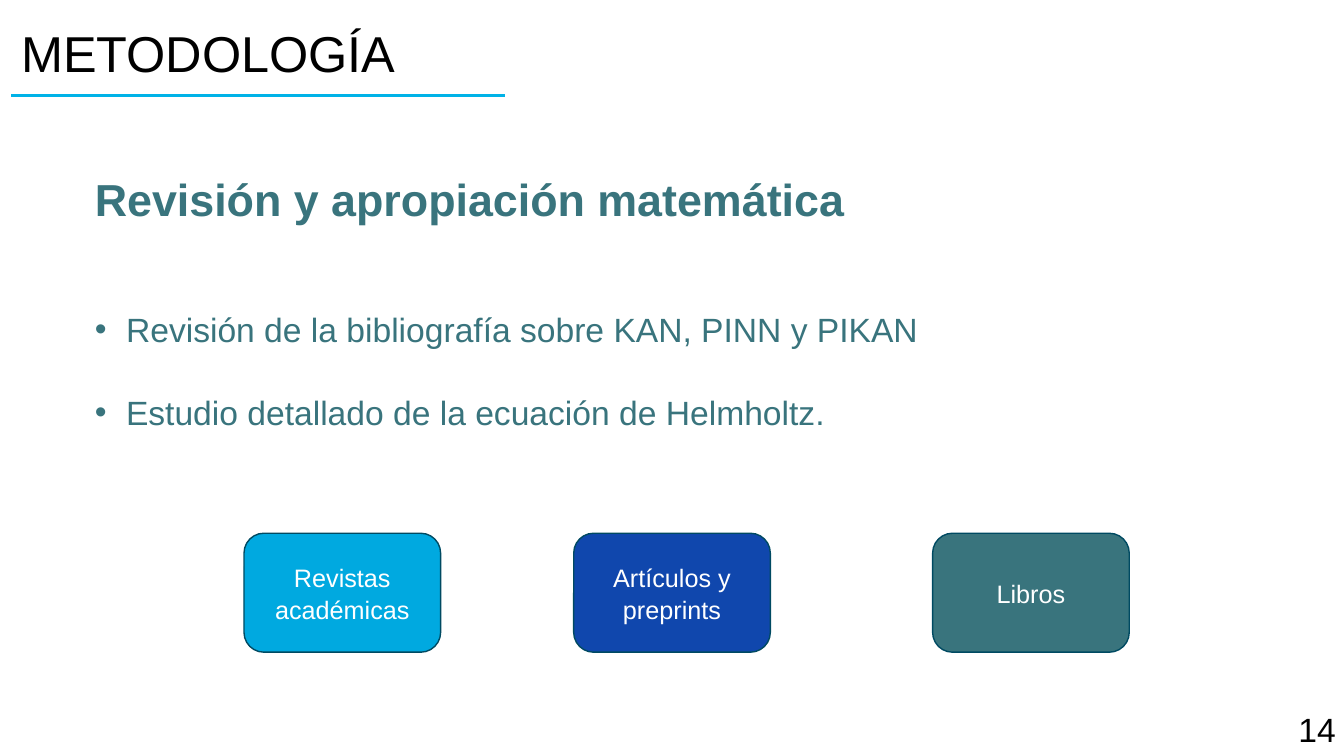
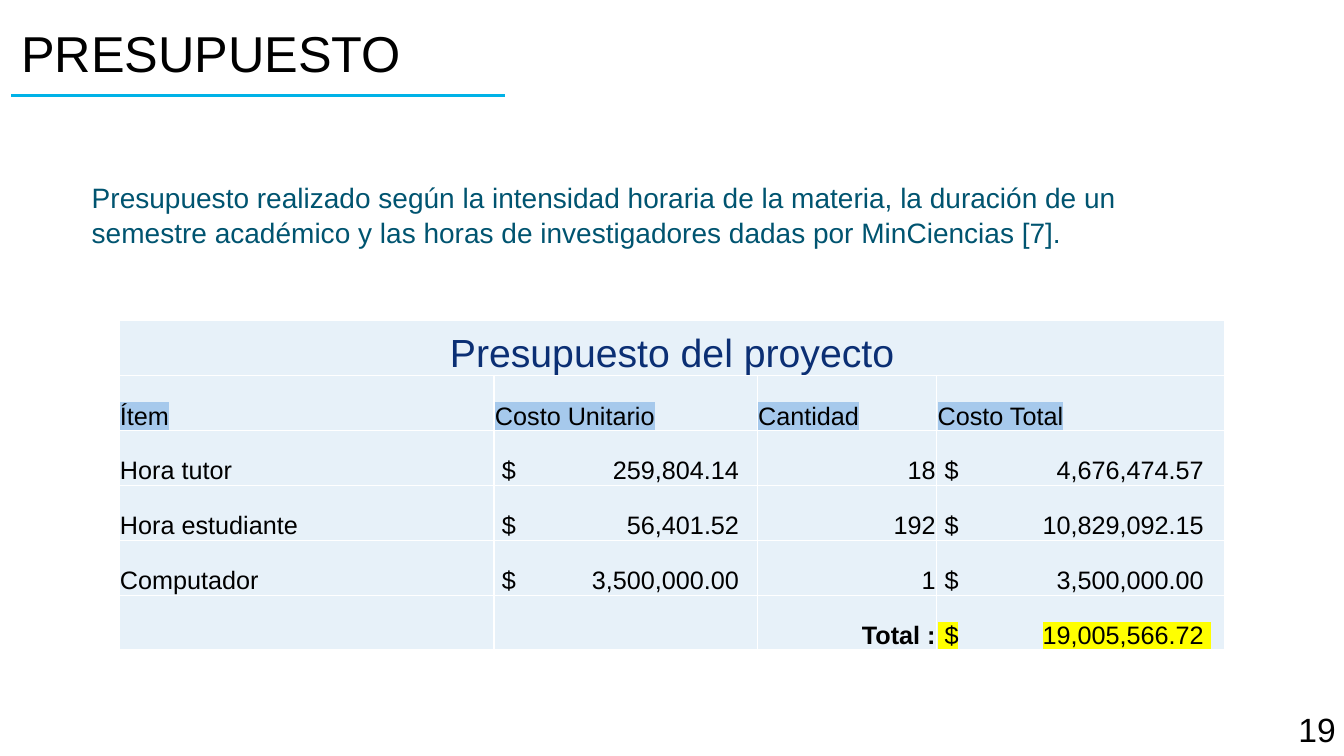
from lxml.etree import SubElement
from pptx import Presentation
from pptx.dml.color import RGBColor
from pptx.enum.shapes import MSO_CONNECTOR as Connector, MSO_SHAPE as Shape
from pptx.enum.text import MSO_ANCHOR as Anchor, MSO_AUTO_SIZE as AutoSize, PP_ALIGN as Align
from pptx.oxml import parse_xml
from pptx.oxml.ns import nsdecls, qn
from pptx.util import Emu, Pt

PX = 9144  # 100 px to the inch
FONT = "Arial"
BLACK, WHITE = "000000", "FFFFFF"
RULE, TEAL, PETROL, NAVY = "00B2E7", "39747D", "005470", "0B2F74"
OUTLINE, CELL, HEADER_MARK, TOTAL_MARK = "004A62", "E7F1F9", "A6C9EC", "FFFF00"
LINE_SPACING = 1.05


def px(length):
    return Emu(length * PX)


def color(hex_value):
    return RGBColor.from_string(hex_value)


def format_text(paragraph, size, hex_value, bold=False, align=Align.LEFT, spacing=None):
    paragraph.alignment = align
    paragraph.line_spacing = spacing
    paragraph.space_before = Pt(0)
    for run in paragraph.runs:
        run.font.name = FONT
        run.font.size = Pt(size)
        run.font.bold = bold
        run.font.color.rgb = color(hex_value)


def highlight(paragraph, hex_value):
    for run in paragraph.runs:
        mark = parse_xml(f'<a:highlight {nsdecls("a")}><a:srgbClr val="{hex_value}"/></a:highlight>')
        run.font.fill  # the mark follows the text fill in the schema
        run._r.rPr.find(qn("a:solidFill")).addnext(mark)


def set_bullet(paragraph, char=None, indent=0):
    properties = paragraph._p.get_or_add_pPr()
    properties.set("marL", str(px(indent)))
    properties.set("indent", str(px(-indent)))
    if char:
        SubElement(properties, qn("a:buChar")).set("char", char)
    else:
        SubElement(properties, qn("a:buNone"))


def place(shape, left, top, width, height):
    shape.left, shape.top = px(left), px(top)
    shape.width, shape.height = px(width), px(height)


def add_page(deck, heading, number):
    """Add a slide with the shared title, rule and page number."""
    slide = deck.slides.add_slide(deck.slide_layouts[1])
    title = slide.shapes.title
    place(title, 11, 0, 895, 111)
    title.text_frame.text = heading
    title.text_frame.auto_size = AutoSize.NONE
    title.text_frame.vertical_anchor = Anchor.MIDDLE
    format_text(title.text_frame.paragraphs[0], 36, BLACK, spacing=0.9)

    rule = slide.shapes.add_connector(Connector.STRAIGHT, px(11), px(95), px(501), px(95))
    rule.line.color.rgb = color(RULE)
    rule.line.width = Pt(2)
    SubElement(rule._element.spPr, qn("a:effectLst"))

    page_number = slide.shapes.add_textbox(px(1278), px(698), px(55), px(52)).text_frame
    page_number.word_wrap = True
    page_number.margin_right = 0
    page_number.text = str(number)
    format_text(page_number.paragraphs[0], 24, BLACK)
    return slide


def fill_body(slide, box, lines):
    """Put lines of (text, size, colour, bold, bullet, space before) in the body."""
    body = slide.placeholders[1]
    place(body, *box)
    frame = body.text_frame
    frame.auto_size = AutoSize.NONE
    frame.text = "\n".join(line[0] for line in lines)
    for paragraph, (_, size, hex_value, bold, bullet, before) in zip(frame.paragraphs, lines):
        format_text(paragraph, size, hex_value, bold, spacing=LINE_SPACING)
        paragraph.space_before = Pt(before)
        set_bullet(paragraph, bullet, 31 if bullet else 0)


def add_source_box(slide, left, label, fill):
    box = slide.shapes.add_shape(Shape.ROUNDED_RECTANGLE, px(left), px(529), px(195), px(118))
    box.shadow.inherit = False
    box.fill.solid()
    box.fill.fore_color.rgb = color(fill)
    box.line.color.rgb = color(OUTLINE)
    box.line.width = Pt(1)
    box.text_frame.text = label
    box.text_frame.vertical_anchor = Anchor.MIDDLE
    format_text(box.text_frame.paragraphs[0], 18, WHITE, align=Align.CENTER, spacing=LINE_SPACING)


def style_cell(cell):
    cell.vertical_anchor = Anchor.BOTTOM
    cell.margin_left = cell.margin_right = cell.margin_top = px(1)
    cell.margin_bottom = 0
    properties = cell._tc.get_or_add_tcPr()
    for position, side in enumerate("LRTB"):
        properties.insert(position, parse_xml(
            f'<a:ln{side} {nsdecls("a")} w="{Pt(1)}"><a:solidFill>'
            f'<a:srgbClr val="{WHITE}"/></a:solidFill></a:ln{side}>'))
    cell.fill.solid()
    cell.fill.fore_color.rgb = color(CELL)


def add_right_tab(paragraph, position):
    tabs = SubElement(paragraph._p.get_or_add_pPr(), qn("a:tabLst"))
    tab = SubElement(tabs, qn("a:tab"))
    tab.set("pos", str(px(position)))
    tab.set("algn", "r")


def add_budget(slide, caption, header, items, total):
    rows = [(caption, "", "", ""), header, *items, ("", "", "Total :", total)]
    column_widths = (372, 261, 178, 286)
    amount_tabs = {1: 249, 3: 271}
    last_row = len(rows) - 1
    table = slide.shapes.add_table(len(rows), len(column_widths), px(118), px(318),
                                   px(sum(column_widths)), px(327)).table
    table.first_row = table.horz_banding = False
    for column, width in zip(table.columns, column_widths):
        column.width = px(width)

    for row, values in enumerate(rows):
        for column, value in enumerate(values):
            cell = table.cell(row, column)
            style_cell(cell)
            paragraph = cell.text_frame.paragraphs[0]
            is_amount = row > 1 and column in amount_tabs and value
            paragraph.text = f" $\t{value} " if is_amount else value
            is_count = row > 1 and column == 2
            format_text(paragraph, 18, BLACK, bold=is_count and row == last_row,
                        align=Align.RIGHT if is_count else Align.LEFT)
            if is_amount:
                add_right_tab(paragraph, amount_tabs[column])
            if row == 1:
                highlight(paragraph, HEADER_MARK)
            elif row == last_row and is_amount:
                highlight(paragraph, TOTAL_MARK)

    # Caption across all columns
    table.cell(0, 0).merge(table.cell(0, len(column_widths) - 1))
    format_text(table.cell(0, 0).text_frame.paragraphs[0], 28, NAVY, align=Align.CENTER)


def main():
    deck = Presentation()
    deck.slide_width, deck.slide_height = px(1333), px(750)

    # Methodology
    methodology = add_page(deck, "METODOLOGÍA", 14)
    fill_body(methodology, (84, 163, 895, 306), [
        ("Revisión y apropiación matemática", 32, TEAL, True, None, 0),
        ("Revisión de la bibliografía sobre KAN, PINN y PIKAN", 24, TEAL, False, "•", 58),
        ("Estudio detallado de la ecuación de Helmholtz.", 24, TEAL, False, "•", 29),
    ])
    for left, label, fill in ((242, "Revistas académicas", "00A9E0"),
                              (569, "Artículos y preprints", "1047AD"),
                              (925, "Libros", TEAL)):
        add_source_box(methodology, left, label, fill)

    # Budget
    budget = add_page(deck, "PRESUPUESTO", 19)
    fill_body(budget, (81, 172, 1097, 111), [
        ("Presupuesto realizado según la intensidad horaria de la materia, la duración de un "
         "semestre académico y las horas de investigadores dadas por MinCiencias [7].",
         20, PETROL, False, None, 0),
    ])
    add_budget(budget, "Presupuesto del proyecto",
               ("Ítem", "Costo Unitario", "Cantidad", "Costo Total"),
               [("Hora tutor", "259,804.14", "18", "4,676,474.57"),
                ("Hora estudiante", "56,401.52", "192", "10,829,092.15"),
                ("Computador", "3,500,000.00", "1", "3,500,000.00")],
               "19,005,566.72")
    deck.save("out.pptx")


if __name__ == "__main__":
    main()
